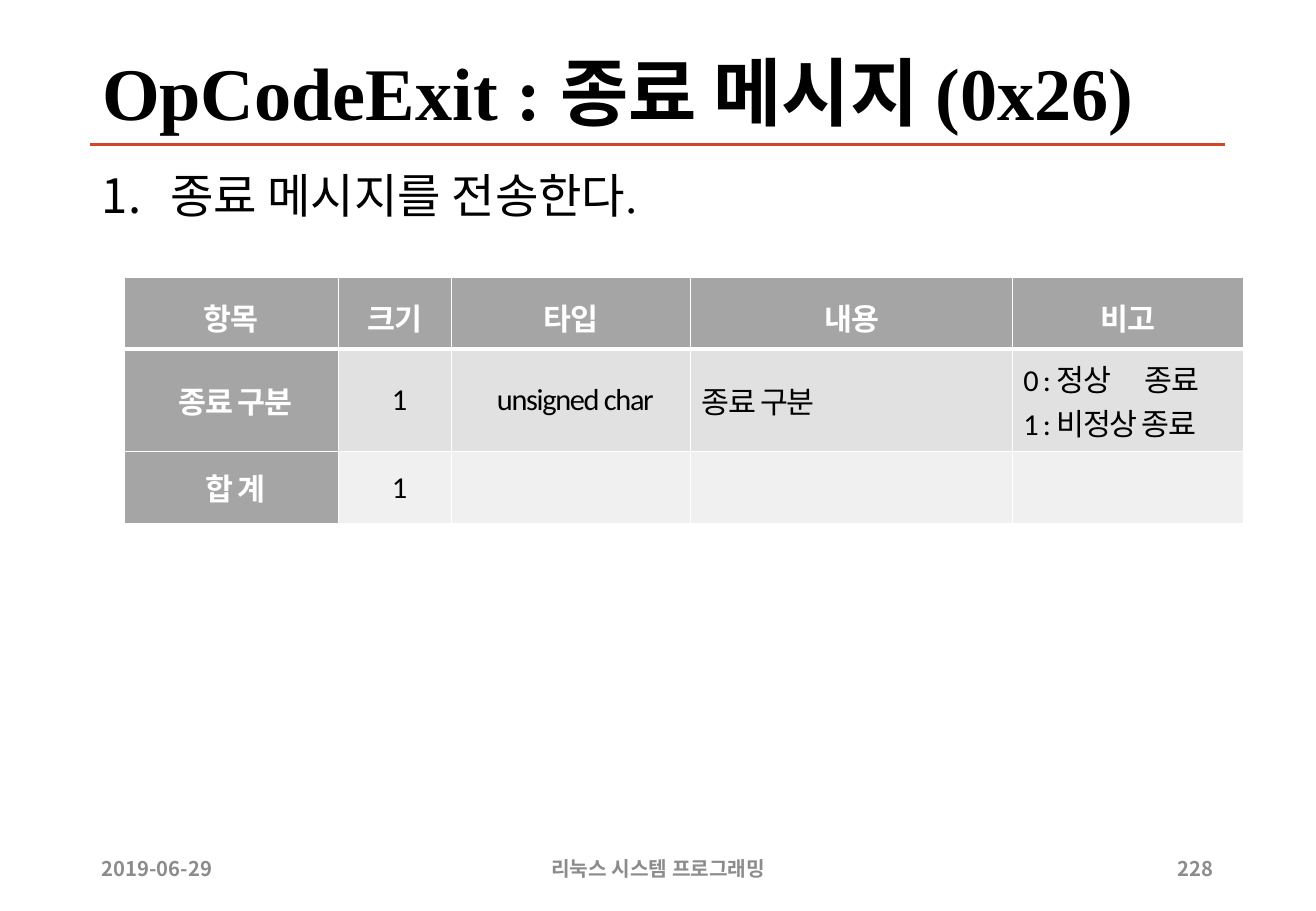
from dataclasses import dataclass

from lxml.etree import SubElement
from pptx import Presentation
from pptx.dml.color import RGBColor
from pptx.enum.shapes import MSO_CONNECTOR
from pptx.enum.text import MSO_ANCHOR as Anchor, MSO_AUTO_SIZE, PP_ALIGN as Align
from pptx.oxml.ns import qn
from pptx.util import Pt

TITLE = "OpCodeExit : 종료 메시지 (0x26)"
STEP = "종료 메시지를 전송한다."
HEADINGS = ["항목", "크기", "타입", "내용", "비고"]
FIELDS = [
    ["종료 구분", "1", "unsigned char", "종료 구분", "0 : 정상\t종료\n1 : 비정상 종료"],
    ["합 계", "1", "", "", ""],
]
# text, left, width, alignment
FOOTERS = [
    ("2019-06-29", 53.3, 91.4, Align.LEFT),
    ("리눅스 시스템 프로그래밍", 258.5, 263.5, Align.CENTER),
    ("228", 688.3, 38.2, Align.RIGHT),
]
COLUMN_WIDTHS = [127.4, 67, 141.6, 190.8, 137]
ROW_HEIGHTS = [42.6, 60.5, 43.2]
LEFT, WIDTH = 53.3, 672.7
TABLE_LEFT, TABLE_TOP = 73.4, 164.4
RULE_Y = 85.7
CELL_INSET, CELL_INDENT, NOTE_TAB = 1.44, 5, 69


@dataclass(frozen=True)
class Theme:
    ink: str = "000000"
    white: str = "FFFFFF"
    accent: str = "D24726"
    muted: str = "8C8C8C"
    header: str = "A5A5A5"
    bands: tuple = ("E1E1E1", "F0F0F0")
    serif: str = "Times New Roman"
    sans: str = "Calibri"
    korean: str = "Noto Sans CJK KR"
    title_size: int = 44
    step_size: int = 28
    cell_size: int = 18
    footer_size: int = 12


THEME = Theme()


def write(frame, text, *, size, font, color=THEME.ink, bold=False, align=Align.LEFT,
          anchor=Anchor.TOP, line_spacing=1.0, tracking=0):
    """Fill a text frame, one paragraph per line; tracking is in points."""
    frame.word_wrap = True
    frame.vertical_anchor = anchor
    for index, line in enumerate(text.split("\n")):
        paragraph = frame.add_paragraph() if index else frame.paragraphs[0]
        paragraph.alignment = align
        paragraph.line_spacing = line_spacing
        run = paragraph.add_run()
        run.text = line
        run.font.size, run.font.bold, run.font.name = Pt(size), bold, font
        run.font.color.rgb = RGBColor.from_string(color)
        properties = run.font._element
        SubElement(properties, qn("a:ea"), typeface=THEME.korean)
        if tracking:
            properties.set("spc", str(round(tracking * 100)))


def add_text(slide, text, left, top, width, height, **style):
    box = slide.shapes.add_textbox(Pt(left), Pt(top), Pt(width), Pt(height))
    write(box.text_frame, text, **style)
    return box


def number_paragraph(paragraph, indent):
    properties = paragraph._p.get_or_add_pPr()
    properties.set("marL", str(Pt(indent)))
    properties.set("indent", str(-Pt(indent)))
    SubElement(properties, qn("a:buFont"), typeface=THEME.sans)
    SubElement(properties, qn("a:buAutoNum"), type="arabicPeriod")


def indent_cell(paragraph):
    properties = paragraph._p.get_or_add_pPr()
    properties.set("marL", str(Pt(CELL_INDENT)))
    properties.set("indent", "0")
    stops = SubElement(properties, qn("a:tabLst"))
    SubElement(stops, qn("a:tab"), pos=str(Pt(NOTE_TAB)), algn="l")


def outline_cell(cell, row):
    widths = {"L": 1, "R": 1, "T": 3 if row == 1 else 1, "B": 3 if row == 0 else 1}
    for side, width in widths.items():
        border = SubElement(cell._tc.get_or_add_tcPr(), qn(f"a:ln{side}"), w=str(Pt(width)))
        SubElement(SubElement(border, qn("a:solidFill")), qn("a:srgbClr"), val=THEME.white)


def format_cell(cell, text, row, column):
    header = row == 0
    label = header or column == 0
    cell.margin_left = cell.margin_right = Pt(CELL_INSET)
    cell.margin_top = cell.margin_bottom = Pt(CELL_INSET)
    cell.vertical_anchor = Anchor.MIDDLE
    outline_cell(cell, row)
    cell.fill.solid()
    cell.fill.fore_color.rgb = RGBColor.from_string(
        THEME.header if label else THEME.bands[row - 1])
    if not text:
        return
    write(cell.text_frame, text, size=THEME.cell_size, font=THEME.sans,
          color=THEME.white if label else THEME.ink, bold=label, anchor=Anchor.MIDDLE,
          align=Align.CENTER if header or column < 3 else Align.JUSTIFY,
          line_spacing=1.16 if header else 1.0, tracking=-0.5 if header else -0.8)
    if not header:
        for paragraph in cell.text_frame.paragraphs:
            indent_cell(paragraph)


def add_field_table(slide):
    rows = [HEADINGS, *FIELDS]
    table = slide.shapes.add_table(
        len(rows), len(HEADINGS), Pt(TABLE_LEFT), Pt(TABLE_TOP),
        Pt(sum(COLUMN_WIDTHS)), Pt(sum(ROW_HEIGHTS))).table
    table.horz_banding = False
    for column, width in zip(table.columns, COLUMN_WIDTHS):
        column.width = Pt(width)
    for row, (texts, height) in enumerate(zip(rows, ROW_HEIGHTS)):
        table.rows[row].height = Pt(height)
        for column, text in enumerate(texts):
            format_cell(table.cell(row, column), text, row, column)


def add_rule(slide):
    rule = slide.shapes.add_connector(
        MSO_CONNECTOR.STRAIGHT, Pt(LEFT), Pt(RULE_Y), Pt(LEFT + WIDTH), Pt(RULE_Y))
    rule.line.color.rgb = RGBColor.from_string(THEME.accent)
    rule.line.width = Pt(2)
    SubElement(rule._element.spPr, qn("a:effectLst"))


def main():
    deck = Presentation()
    deck.slide_width, deck.slide_height = Pt(780), Pt(540)
    slide = deck.slides.add_slide(deck.slide_layouts[5])
    add_rule(slide)

    title = slide.shapes.title
    title.left, title.top, title.width, title.height = Pt(LEFT), Pt(28.8), Pt(WIDTH), Pt(56.9)
    write(title.text_frame, TITLE, size=THEME.title_size, font=THEME.serif, bold=True,
          anchor=Anchor.MIDDLE, line_spacing=0.9)
    title.text_frame.auto_size = MSO_AUTO_SIZE.NONE

    step = add_text(slide, STEP, LEFT, 98.6, WIDTH, 54,
                    size=THEME.step_size, font=THEME.serif, line_spacing=0.9)
    number_paragraph(step.text_frame.paragraphs[0], 40.5)

    for text, left, width, align in FOOTERS:
        add_text(slide, text, left, 500.4, width, 28.8, size=THEME.footer_size,
                 font=THEME.korean, color=THEME.muted, bold=True, align=align,
                 anchor=Anchor.MIDDLE)
    add_field_table(slide)
    deck.save("out.pptx")


if __name__ == "__main__":
    main()
